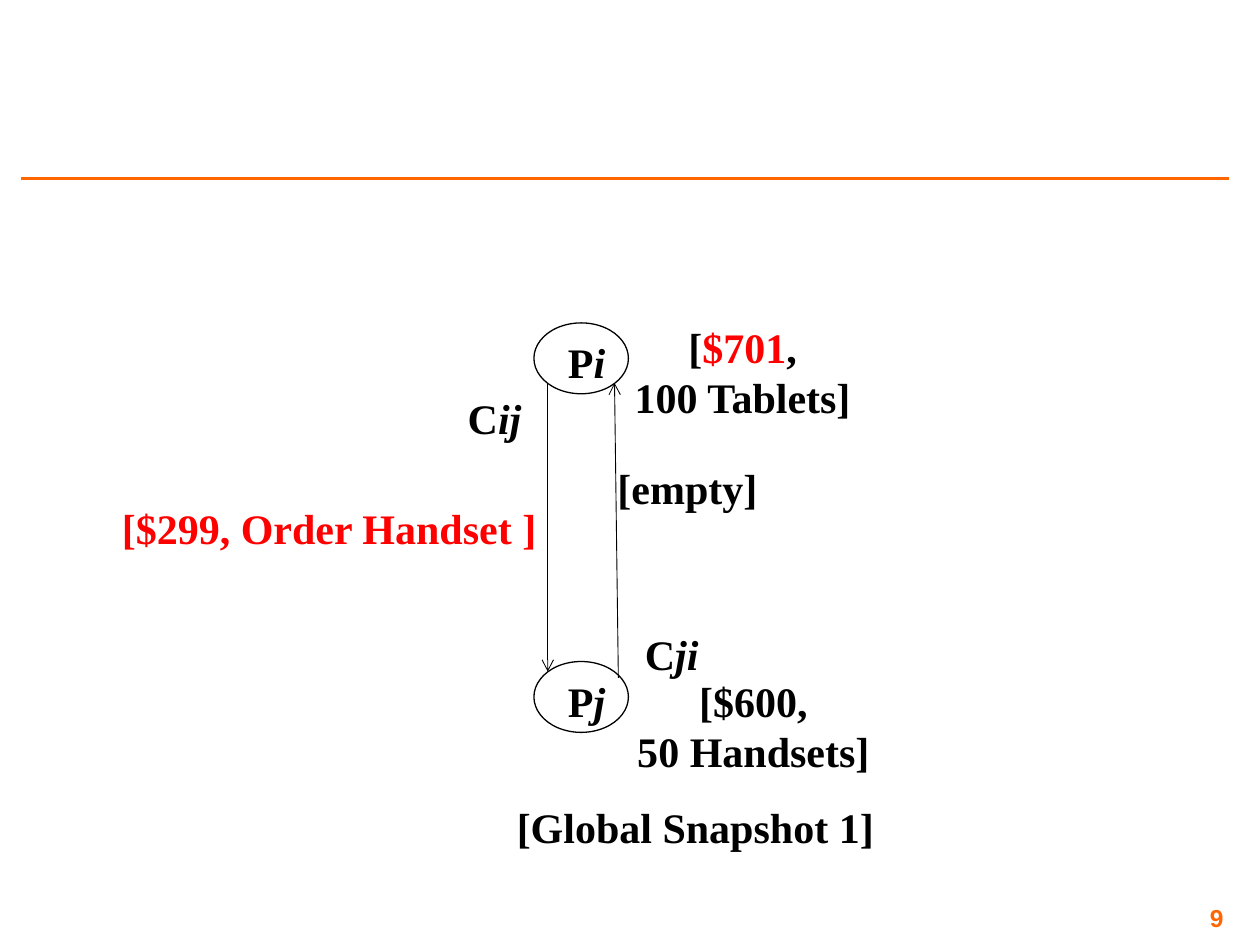
from dataclasses import dataclass

from lxml.etree import SubElement
from pptx import Presentation
from pptx.dml.color import RGBColor
from pptx.enum.shapes import MSO_CONNECTOR, MSO_SHAPE
from pptx.enum.text import MSO_ANCHOR, PP_ALIGN
from pptx.oxml.ns import qn
from pptx.util import Inches, Pt

COLUMNS, ROWS = 160, 120
CELL = Inches(10) // COLUMNS


@dataclass(frozen=True)
class Theme:
    ink: RGBColor = RGBColor(0, 0, 0)
    change: RGBColor = RGBColor(0xFF, 0, 0)
    accent: RGBColor = RGBColor(0xFF, 0x66, 0)
    label_font: str = "Times New Roman"
    number_font: str = "Arial"
    label_size: Pt = Pt(24)
    number_size: Pt = Pt(14)
    rule_width: Pt = Pt(2)
    node_width: Pt = Pt(0.75)
    channel_width: Pt = Pt(0.5)


THEME = Theme()


@dataclass(frozen=True)
class Box:
    """A region measured in grid columns and rows."""
    left: float
    top: float
    width: float
    height: float

    def inner(self, left, top, width, height):
        return Box(self.left + left, self.top + top, width, height)

    def point(self, column, row):
        return round((self.left + column) * CELL), round((self.top + row) * CELL)

    def lengths(self):
        return [round(n * CELL) for n in (self.left, self.top, self.width, self.height)]


def add_line(shapes, start, end, color, width, arrow=False):
    line = shapes.add_connector(MSO_CONNECTOR.STRAIGHT, *start, *end)
    line.line.color.rgb = color
    line.line.width = width
    properties = line._element.spPr
    if arrow:
        SubElement(properties.find(qn("a:ln")), qn("a:tailEnd"), type="arrow")
    SubElement(properties, qn("a:effectLst"))


def add_label(shapes, box, *lines, color=THEME.ink, wrap=False):
    """Each line is a list of (text, style) spans; a style is "", "italic" or "change"."""
    frame = shapes.add_textbox(*box.lengths()).text_frame
    frame.word_wrap = wrap
    for number, spans in enumerate(lines):
        para = frame.add_paragraph() if number else frame.paragraphs[0]
        para.alignment = PP_ALIGN.CENTER
        para.font.name = THEME.label_font
        para.font.size = THEME.label_size
        para.font.bold = True
        for text, style in spans:
            span = para.add_run()
            span.text = text
            span.font.color.rgb = THEME.change if style == "change" else color
            if style == "italic":
                span.font.italic = True


def symbol(letter, index):
    return [(letter, ""), (index, "italic")]


def plain(text):
    return [(text, "")]


def add_process(shapes, box, index):
    node = shapes.add_shape(MSO_SHAPE.OVAL, *box.lengths())
    node.shadow.inherit = False
    node.fill.background()
    node.line.color.rgb = THEME.ink
    node.line.width = THEME.node_width
    add_label(shapes, box.inner(2.7, 1, 8, 8), symbol("P", index))


def add_snapshot(page, box):
    shapes = page.shapes.add_group_shape().shapes
    add_process(shapes, box.inner(58, 1, 12, 9), "i")
    add_process(shapes, box.inner(58, 44, 12, 9), "j")

    channels = [((59.76, 8.64), (59.76, 45.28)), ((68.72, 46.08), (68.24, 8.64))]
    for start, end in channels:
        add_line(shapes, box.point(*start), box.point(*end),
                 THEME.ink, THEME.channel_width, arrow=True)

    add_label(shapes, box.inner(48, 9, 10, 8), symbol("C", "ij"))
    add_label(shapes, box.inner(70.5, 39, 10, 8), symbol("C", "ji"))
    add_label(shapes, box.inner(68.24, 0, 32.5, 14.5),
              [("[", ""), ("$701", "change"), (",", "")], plain("100 Tablets]"))
    add_label(shapes, box.inner(69.36, 45, 33, 14.5),
              plain("[$600,"), plain("50 Handsets]"))
    add_label(shapes, box.inner(67, 18, 21, 8), plain("[empty]"))
    add_label(shapes, box.inner(0, 23, 64, 8), plain("[$299, Order Handset ]"),
              color=THEME.change, wrap=True)
    add_label(shapes, box.inner(54, 61, 49, 8), plain("[Global Snapshot 1]"))


def add_page_number(page, box, number):
    frame = page.shapes.add_textbox(*box.lengths()).text_frame
    frame.word_wrap = True
    frame.vertical_anchor = MSO_ANCHOR.MIDDLE
    frame.margin_left = frame.margin_right = Inches(0.04)
    frame.margin_top = frame.margin_bottom = Inches(0.04)
    para = frame.paragraphs[0]
    para.text = str(number)
    para.alignment = PP_ALIGN.RIGHT
    para.font.name = THEME.number_font
    para.font.size = THEME.number_size
    para.font.bold = True
    para.font.color.rgb = THEME.accent


def main():
    deck = Presentation()
    deck.slide_width, deck.slide_height = COLUMNS * CELL, ROWS * CELL
    blank = deck.slide_layouts[6]
    page = deck.slides.add_slide(blank)
    header = Box(2.7, 0, 153.3, 22.7)
    add_line(page.shapes, header.point(0, header.height),
             header.point(header.width, header.height), THEME.accent, THEME.rule_width)
    add_snapshot(page, Box(9.8, 40, 103, 69))
    add_page_number(page, Box(118.7, 114.7, 37.3, 3.7), 9)
    deck.save("out.pptx")


if __name__ == "__main__":
    main()
